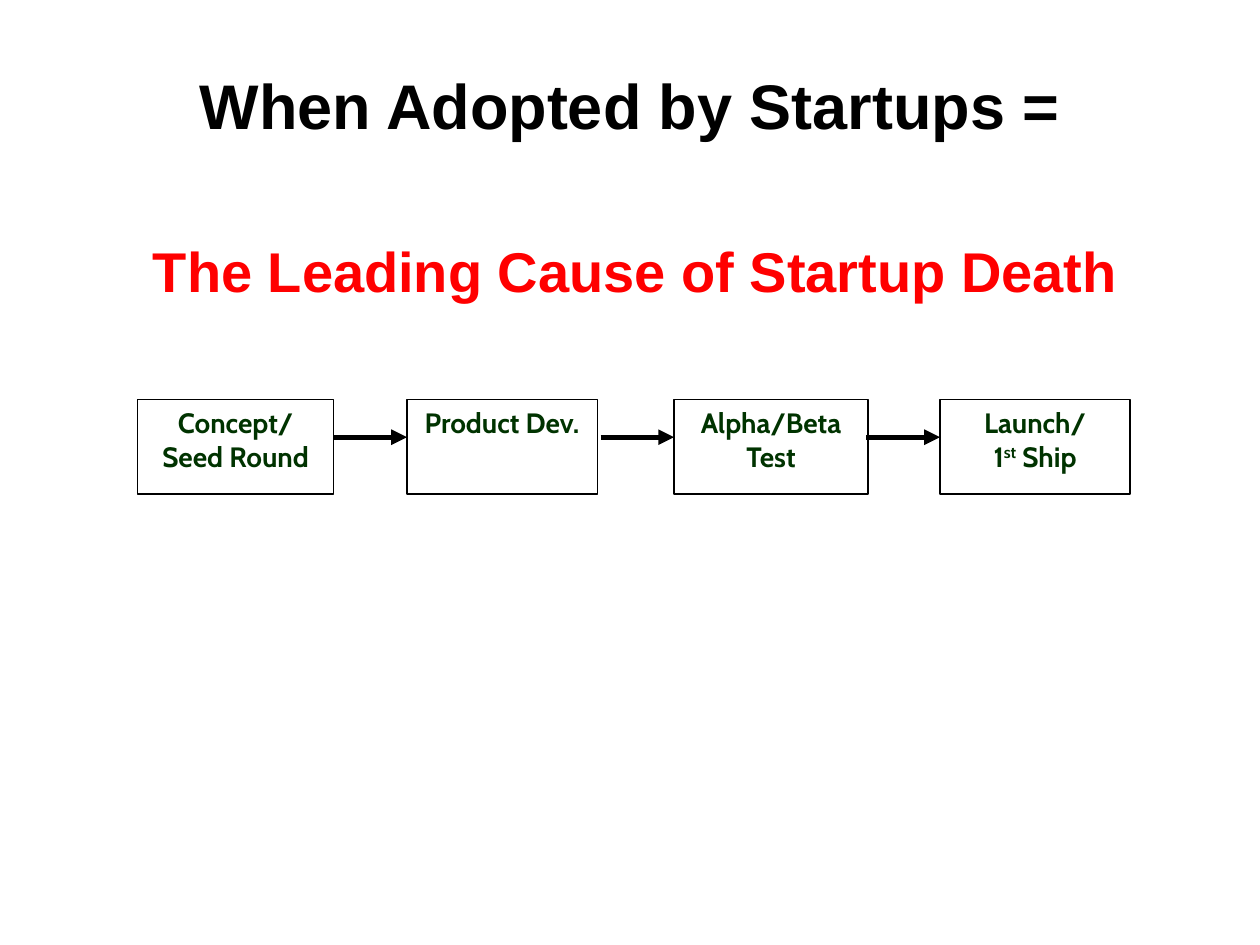
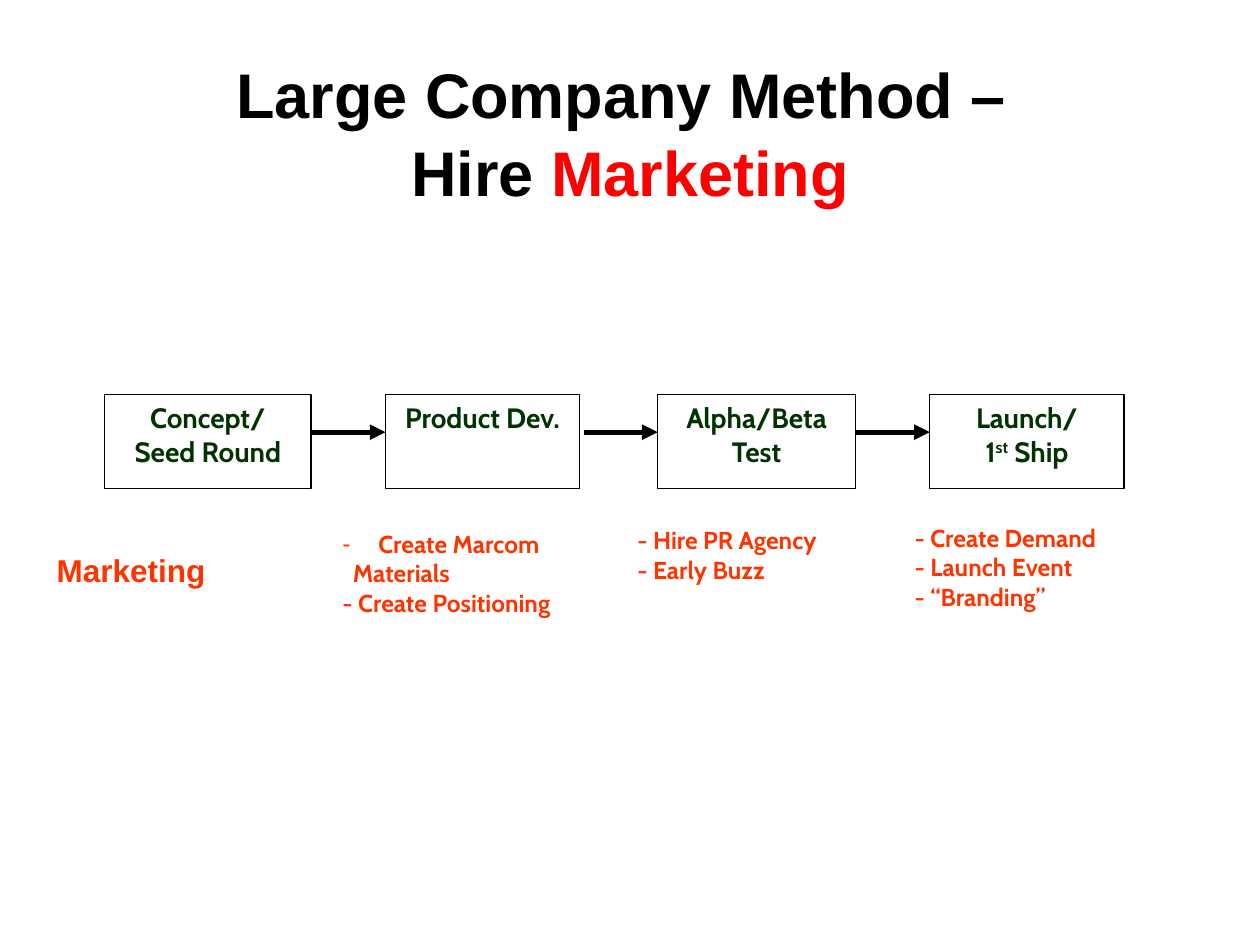
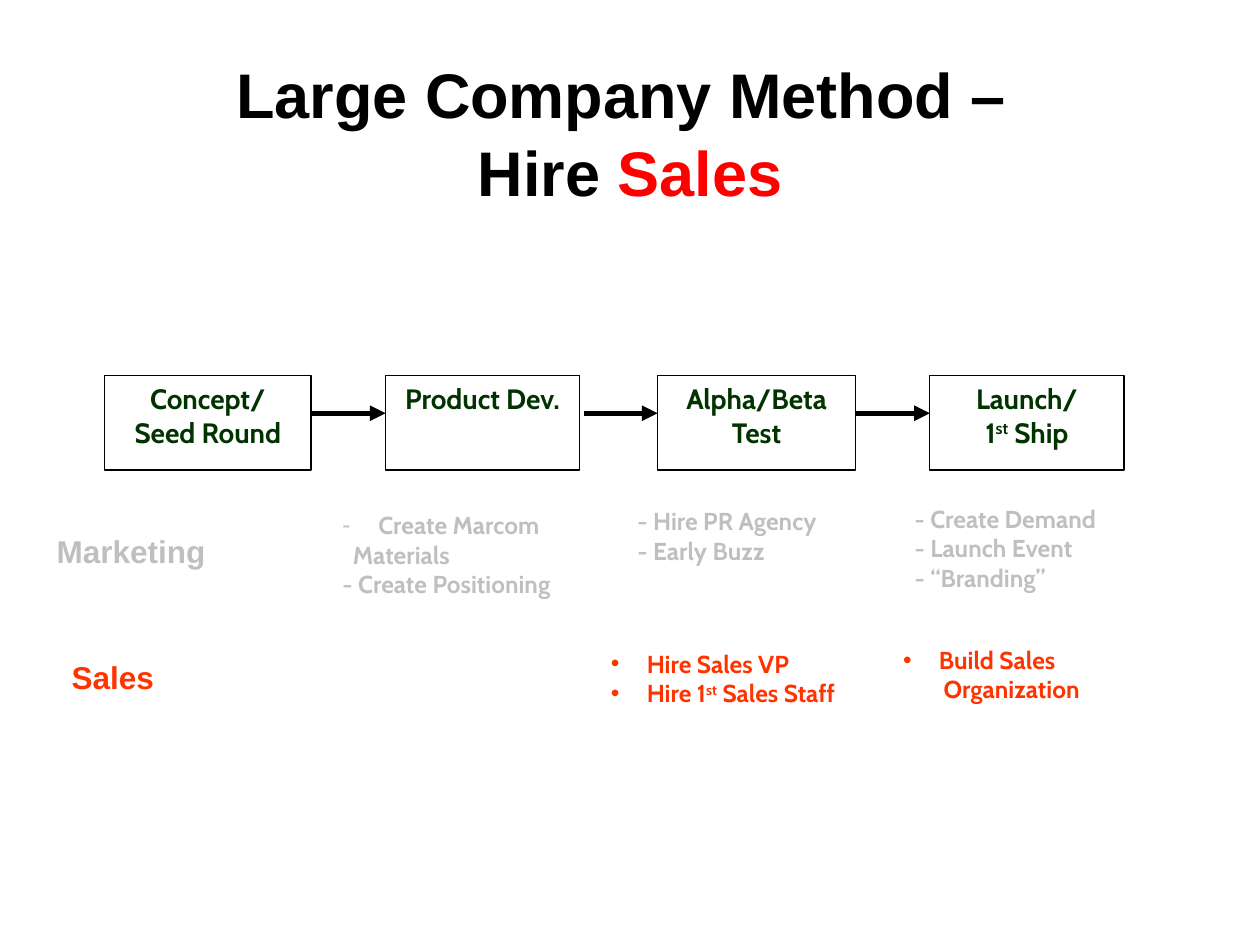
from copy import deepcopy

from pptx import Presentation
from pptx.dml.color import RGBColor
from pptx.enum.shapes import MSO_CONNECTOR, MSO_SHAPE
from pptx.enum.text import MSO_ANCHOR, MSO_AUTO_SIZE, PP_ALIGN
from pptx.oxml.ns import qn
from pptx.oxml.xmlchemy import OxmlElement
from pptx.util import Pt

COLORS = {
    "black": "000000",
    "white": "FFFFFF",
    "alert": "FF0000",
    "stage": "003300",
    "active": "FF3300",
    "done": "BFBFBF",
}
HEADING_FONT = "Arial"
BODY_FONT = "Cabin"
TITLE_ONLY_LAYOUT = 5

STAGE_LABELS = [
    ["Concept/\vSeed Round"],
    ["Product Dev."],
    ["Alpha/Beta Test"],
    ["Launch/", "1st Ship"],
]
STAGE_HEIGHT = 54
ARROW_LENGTH = 42
ARROW_DROP = 21.6

METHOD_LEFTS = [59.76, 220.32, 375.84, 531.36]
METHOD_WIDTHS = [118, 111, 113, 111]

# Each line of a task list: text, bullet, left margin
MARKETING_TASKS = [
    (188.6, 73.4, 159, [("Create Marcom", "-", 20.5),
                        ("Materials", None, 6),
                        ("- Create Positioning", None, 0)]),
    (357.1, 71.3, 139, [("- Hire PR Agency", None, 0),
                        ("- Early Buzz", None, 0)]),
    (515.5, 69.8, 142.6, [("- Create Demand", None, 0),
                          ("- Launch Event", None, 0),
                          ("- “Branding”", None, 0)]),
]
SALES_TASKS = [
    (342, 152.6, 165, [("Hire Sales VP", "•", 20.5),
                       ("Hire 1st Sales Staff", "•", 20.5)]),
    (509, 150.5, 158.4, [("Build Sales", "•", 20.5),
                         ("Organization", None, 23.2)]),
]


def color(name):
    return RGBColor.from_string(COLORS[name])


def fill_white(shape):
    shape.fill.solid()
    shape.fill.fore_color.rgb = color("white")


def style_runs(paragraph, font_name, size, color_name):
    """Format every run, and give line breaks the format of the first run."""
    for run in paragraph.runs:
        run.font.name = font_name
        run.font.size = Pt(size)
        run.font.bold = True
        run.font.color.rgb = color(color_name)
    for line_break in paragraph._p.findall(qn("a:br")):
        line_break.append(deepcopy(paragraph.runs[0]._r.rPr))


def write_line(paragraph, text):
    """Set the text, raising the ending of the ordinal 1st."""
    before, ordinal, after = text.partition("1st")
    if not ordinal:
        paragraph.text = text
        return
    paragraph.text = before + "1"
    suffix = paragraph.add_run()
    suffix.text = "st"
    suffix._r.get_or_add_rPr().set("baseline", "30000")
    paragraph.add_run().text = after


def next_paragraph(text_frame, index):
    return text_frame.add_paragraph() if index else text_frame.paragraphs[0]


def set_indent(paragraph, bullet, margin):
    properties = paragraph._p.get_or_add_pPr()
    properties.set("marL", str(Pt(margin)))
    properties.set("indent", str(-Pt(margin) if bullet else 0))
    if bullet:
        bullet_font = OxmlElement("a:buFont")
        bullet_font.set("typeface", HEADING_FONT)
        character = OxmlElement("a:buChar")
        character.set("char", bullet)
        properties.extend([bullet_font, character])


def add_title_slide(presentation, top, text, highlight=""):
    """Add a slide with its title, the highlight in red at the end."""
    slide = presentation.slides.add_slide(
        presentation.slide_layouts[TITLE_ONLY_LAYOUT])
    title = slide.shapes.title
    title.left, title.top = Pt(36), Pt(top)
    title.width, title.height = Pt(648), Pt(90)
    fill_white(title)
    text_frame = title.text_frame
    text_frame.text = text
    text_frame.word_wrap = True
    text_frame.auto_size = MSO_AUTO_SIZE.NONE
    text_frame.vertical_anchor = MSO_ANCHOR.TOP
    text_frame.margin_top = Pt(6)
    paragraph = text_frame.paragraphs[0]
    paragraph.alignment = PP_ALIGN.CENTER
    paragraph.line_spacing = 1.04
    if highlight:
        paragraph.add_run().text = highlight
    style_runs(paragraph, HEADING_FONT, 36, "black")
    if highlight:
        paragraph.runs[-1].font.color.rgb = color("alert")
    return slide


def add_stage(slide, left, top, width, lines):
    shape = slide.shapes.add_shape(
        MSO_SHAPE.RECTANGLE, Pt(left), Pt(top), Pt(width), Pt(STAGE_HEIGHT))
    shape.shadow.inherit = False
    fill_white(shape)
    shape.line.color.rgb = color("black")
    shape.line.width = Pt(0.75)
    text_frame = shape.text_frame
    text_frame.word_wrap = True
    text_frame.vertical_anchor = MSO_ANCHOR.TOP
    for index, line in enumerate(lines):
        paragraph = next_paragraph(text_frame, index)
        write_line(paragraph, line)
        paragraph.alignment = PP_ALIGN.CENTER
        style_runs(paragraph, BODY_FONT, 16, "stage")


def add_arrow(slide, end, y):
    """Add an arrow that points right and stops at end."""
    arrow = slide.shapes.add_connector(
        MSO_CONNECTOR.STRAIGHT, Pt(end - ARROW_LENGTH), Pt(y), Pt(end), Pt(y))
    arrow.line.color.rgb = color("black")
    arrow.line.width = Pt(3)
    tail = OxmlElement("a:tailEnd")
    tail.set("type", "triangle")
    arrow.line._get_or_add_ln().append(tail)
    arrow._element.spPr.append(OxmlElement("a:effectLst"))


def add_process(slide, lefts, widths, top):
    for index, (left, width, lines) in enumerate(
            zip(lefts, widths, STAGE_LABELS)):
        if index:
            add_arrow(slide, left, top + ARROW_DROP)
        add_stage(slide, left, top, width, lines)


def add_heading(slide, left, top, width, height, text, size, color_name):
    box = slide.shapes.add_textbox(Pt(left), Pt(top), Pt(width), Pt(height))
    box.text_frame.text = text
    box.text_frame.word_wrap = False
    paragraph = box.text_frame.paragraphs[0]
    paragraph.alignment = PP_ALIGN.CENTER
    style_runs(paragraph, HEADING_FONT, size, color_name)


def add_tasks(slide, process_top, task_lists, color_name):
    for left, drop, width, lines in task_lists:
        box = slide.shapes.add_textbox(
            Pt(left), Pt(process_top + drop), Pt(width), Pt(43.2))
        box.text_frame.word_wrap = True
        for index, (text, bullet, margin) in enumerate(lines):
            paragraph = next_paragraph(box.text_frame, index)
            set_indent(paragraph, bullet, margin)
            write_line(paragraph, text)
            style_runs(paragraph, BODY_FONT, 14, color_name)


def add_method_slide(presentation, department, process_top, marketing_color):
    slide = add_title_slide(
        presentation, 23.76, "Large Company Method – \vHire ", department)
    add_process(slide, METHOD_LEFTS, METHOD_WIDTHS, process_top)
    add_tasks(slide, process_top, MARKETING_TASKS, marketing_color)
    add_heading(slide, 25.2, process_top + 85.7, 99.4, 28.8,
                "Marketing", 18, marketing_color)
    return slide


def main():
    presentation = Presentation()
    presentation.slide_width, presentation.slide_height = Pt(720), Pt(540)

    slide = add_title_slide(presentation, 30.24, "When Adopted by Startups =")
    add_process(slide, [78.5, 232.56, 385.2, 537.12],
                [112.3, 108.7, 110.9, 108.7], 228.24)
    add_heading(slide, 77.8, 131.76, 571, 46,
                "The Leading Cause of Startup Death", 32, "alert")

    add_method_slide(presentation, "Marketing", 225.36, "active")

    sales_top = 214.56
    slide = add_method_slide(presentation, "Sales", sales_top, "done")
    add_tasks(slide, sales_top, SALES_TASKS, "active")
    add_heading(slide, 33.84, sales_top + 157.7, 61.2, 28.8,
                "Sales", 18, "active")

    presentation.save("out.pptx")


if __name__ == "__main__":
    main()
